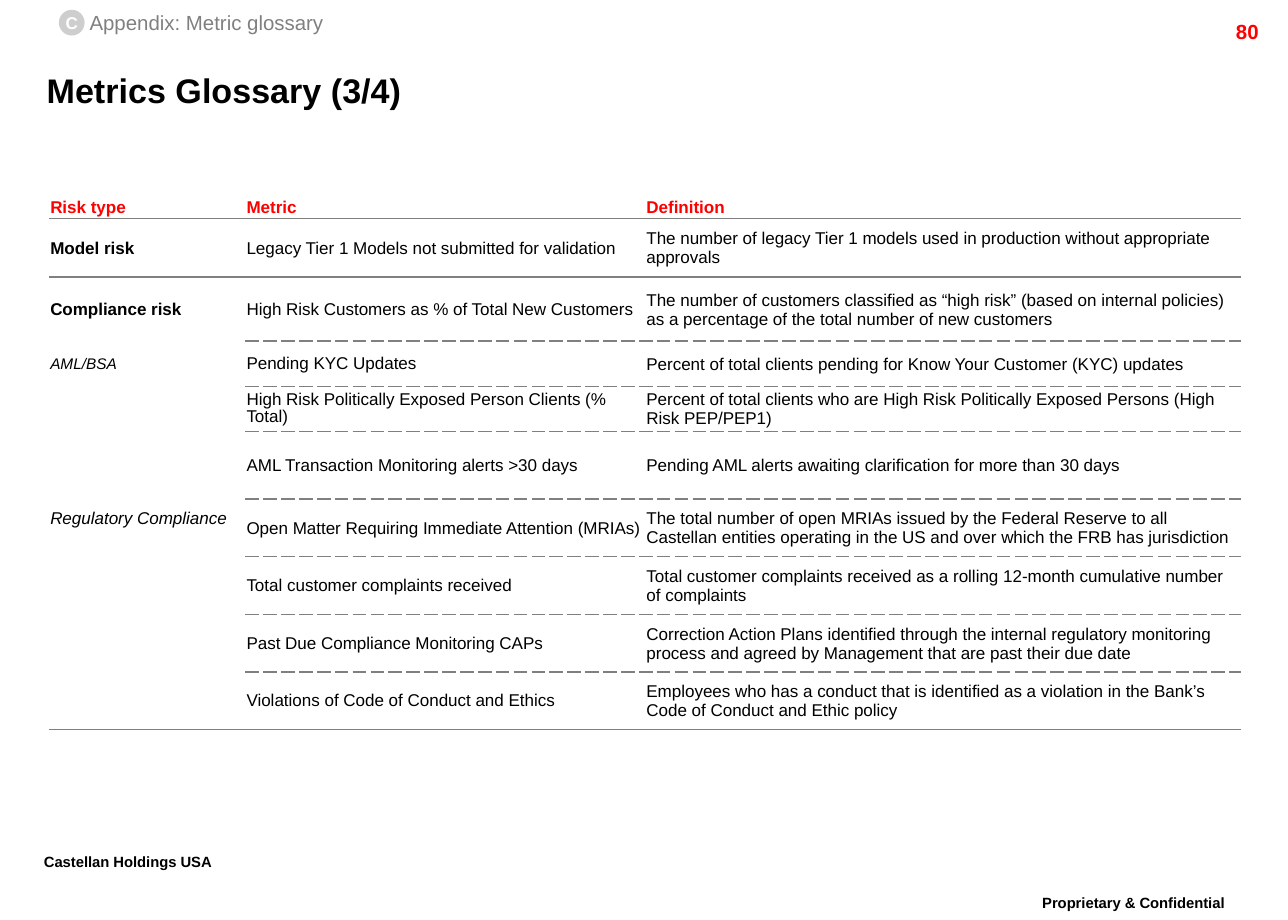
import pptx
import pptx.dml.color
import pptx.enum.shapes
import pptx.enum.text
import pptx.oxml
import pptx.oxml.ns
import pptx.util

Inches = pptx.util.Inches
Pt = pptx.util.Pt
ALIGN = pptx.enum.text.PP_ALIGN
MIDDLE = pptx.enum.text.MSO_ANCHOR.MIDDLE
TOP = pptx.enum.text.MSO_ANCHOR.TOP

RED, BLACK, WHITE = "FF0000", "000000", "FFFFFF"
GREY, LIGHT_GREY = "808080", "CECECE"

COLUMN_WIDTHS = [1.6, 3.26, 4.86]
ROW_HEIGHTS = [0.18, 0.48, 0.52, 0.37, 0.37, 0.55, 0.47, 0.47, 0.47, 0.47]
GLOSSARY = [
    ("Risk type", "Metric", "Definition"),
    ("Model risk", "Legacy Tier 1 Models not submitted for validation",
     "The number of legacy Tier 1 models used in production without appropriate approvals"),
    ("Compliance risk", "High Risk Customers as % of Total New Customers",
     "The number of customers classified as “high risk” (based on internal policies) "
     "as a percentage of the total number of new customers"),
    ("AML/BSA", "Pending KYC Updates",
     "Percent of total clients pending for Know Your Customer (KYC) updates"),
    ("", "High Risk Politically Exposed Person Clients (% Total)",
     "Percent of total clients who are High Risk Politically Exposed Persons (High Risk PEP/PEP1)"),
    ("", "AML Transaction Monitoring alerts >30 days",
     "Pending AML alerts awaiting clarification for more than 30 days"),
    ("Regulatory Compliance", "Open Matter Requiring Immediate Attention (MRIAs)",
     "The total number of open MRIAs issued by the Federal Reserve to all "
     "Castellan entities operating in the US and over which the FRB has jurisdiction"),
    ("", "Total customer complaints received",
     "Total customer complaints received as a rolling 12-month cumulative number of complaints"),
    ("", "Past Due Compliance Monitoring CAPs",
     "Correction Action Plans identified through the internal regulatory monitoring "
     "process and agreed by Management that are past their due date"),
    ("", "Violations of Code of Conduct and Ethics",
     "Employees who has a conduct that is identified as a violation in the Bank’s "
     "Code of Conduct and Ethic policy"),
]
SUBTYPE_SIZES = {"AML/BSA": 9, "Regulatory Compliance": 10}
TIGHT_METRIC_ROWS = {3, 4, 7, 9}
SOLID_RULES = {0, 1, len(GLOSSARY) - 1}


def color(value):
    return pptx.dml.color.RGBColor.from_string(value)


def rule_below(row, column):
    """Return the dash style of the rule under a cell, or None for no rule."""
    if row in SOLID_RULES:
        return "solid"
    return "sysDash" if row >= 0 and column > 0 else None


def set_borders(cell, top, bottom):
    properties = cell._tc.get_or_add_tcPr()
    for side, dash in (("L", None), ("R", None), ("T", top), ("B", bottom)):
        if dash:
            content = (f'<a:solidFill><a:srgbClr val="{GREY}"/></a:solidFill>'
                       f'<a:prstDash val="{dash}"/>')
        else:
            content = "<a:noFill/>"
        properties.append(pptx.oxml.parse_xml(
            f'<a:ln{side} {pptx.oxml.ns.nsdecls("a")} w="{Pt(1)}">{content}</a:ln{side}>'))


class GlossarySlide:
    font_name = "Arial"

    def __init__(self, presentation):
        self.slide = presentation.slides.add_slide(presentation.slide_layouts[6])

    def format_text(self, paragraph, size, fill, bold=False, italic=False):
        for run in paragraph.runs:
            font = run.font
            font.name, font.size = self.font_name, Pt(size)
            font.bold, font.italic = bold, italic
            font.color.rgb = color(fill)

    def fill_frame(self, frame, text, size, fill, bold, align, anchor, inset, wrap):
        frame.text = text
        frame.word_wrap = wrap
        frame.vertical_anchor = anchor
        frame.margin_left = frame.margin_right = Inches(inset)
        frame.margin_top = frame.margin_bottom = Inches(inset / 2)
        paragraph = frame.paragraphs[0]
        paragraph.alignment = align
        self.format_text(paragraph, size, fill, bold)
        return paragraph

    def text(self, place, text, size, fill=BLACK, bold=False, align=ALIGN.LEFT,
             anchor=MIDDLE, inset=0, wrap=True):
        box = self.slide.shapes.add_textbox(*map(Inches, place))
        return self.fill_frame(box.text_frame, text, size, fill, bold, align, anchor, inset, wrap)

    def footer(self, place, text, align, wrap=True):
        """Add a raised small bold line at the foot of the slide."""
        paragraph = self.text(place, text, 15, bold=True, align=align,
                              anchor=TOP, inset=0.1, wrap=wrap)
        paragraph.line_spacing = 0.86
        paragraph.runs[0]._r.get_or_add_rPr().set("baseline", "30000")

    def badge(self, place, letter):
        circle = self.slide.shapes.add_shape(
            pptx.enum.shapes.MSO_SHAPE.OVAL, *map(Inches, place))
        circle.shadow.inherit = False
        circle.fill.solid()
        circle.fill.fore_color.rgb = color(LIGHT_GREY)
        circle.line.fill.background()
        self.fill_frame(circle.text_frame, letter, 10, WHITE, True, ALIGN.CENTER, MIDDLE, 0, False)

    def cell(self, cell, row, column, text):
        cell.text = text
        cell.vertical_anchor = MIDDLE
        cell.margin_left = cell.margin_right = cell.margin_top = Inches(0.01)
        cell.margin_bottom = 0
        set_borders(cell, rule_below(row - 1, column), rule_below(row, column))
        cell.fill.background()
        paragraph = cell.text_frame.paragraphs[0]
        subtype = text in SUBTYPE_SIZES
        self.format_text(paragraph, SUBTYPE_SIZES.get(text, 10),
                         RED if row == 0 else BLACK,
                         bold=row == 0 or (column == 0 and not subtype), italic=subtype)
        if column == 1 and row in TIGHT_METRIC_ROWS:
            paragraph.line_spacing = Pt(10)
        if text == "Regulatory Compliance":
            cell.margin_bottom = Inches(0.16)

    def table(self, left, top):
        frame = self.slide.shapes.add_table(
            len(GLOSSARY), len(COLUMN_WIDTHS), Inches(left), Inches(top),
            Inches(sum(COLUMN_WIDTHS)), Inches(sum(ROW_HEIGHTS)))
        table = frame.table
        table.first_row = table.horz_banding = False
        for column, width in zip(table.columns, COLUMN_WIDTHS):
            column.width = Inches(width)
        for row, height in zip(table.rows, ROW_HEIGHTS):
            row.height = Inches(height)
        for row, entry in enumerate(GLOSSARY):
            for column, text in enumerate(entry):
                self.cell(table.cell(row, column), row, column, text)


def main():
    presentation = pptx.Presentation()
    presentation.slide_width = Inches(10.5)
    presentation.slide_height = Inches(7.5)
    page = GlossarySlide(presentation)
    page.footer((8.15, 7.25, 2.18, 0.35), "Proprietary & Confidential", ALIGN.CENTER)
    page.footer((0.26, 6.91, 1.91, 0.35), "Castellan Holdings USA", ALIGN.LEFT, wrap=False)
    page.text((9.36, 0.11, 1, 0.24), "80", 12, RED, bold=True,
              align=ALIGN.RIGHT, anchor=TOP, inset=0.1)
    page.text((0.38, 0.49, 9.48, 0.48), "Metrics Glossary (3/4)", 20, bold=True)
    page.badge((0.48, 0.08, 0.21, 0.21), "C")
    page.text((0.73, 0.08, 1.92, 0.2), "Appendix: Metric glossary", 12, GREY, wrap=False)
    page.table(0.4, 1.6)
    presentation.save("out.pptx")


if __name__ == "__main__":
    main()
